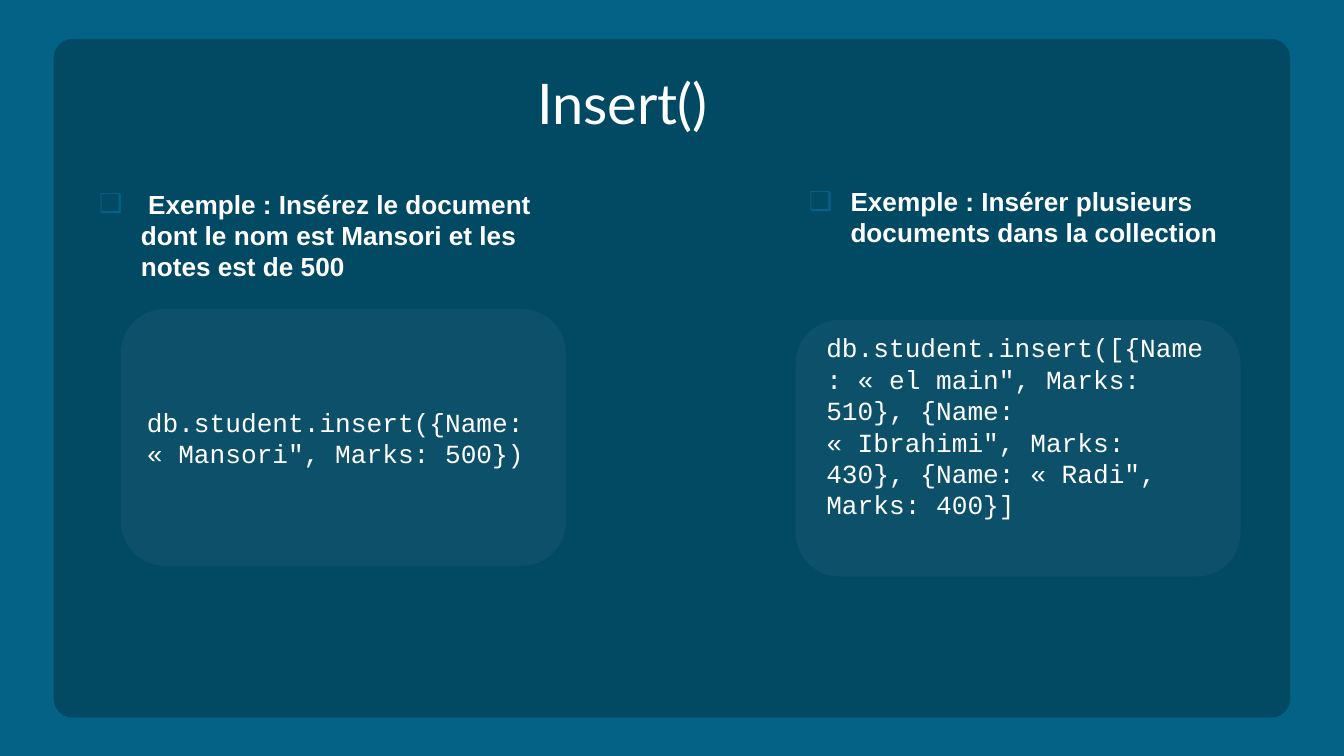
from dataclasses import dataclass

from lxml import etree
from pptx import Presentation
from pptx import util as u
from pptx.dml.color import RGBColor
from pptx.enum import shapes, text
from pptx.oxml import ns


@dataclass(frozen=True)
class Theme:
    """Colours, fonts and type sizes of the slide."""
    background: str = "036286"
    panel: str = "000000"
    panel_alpha: int = 25
    card: str = "0D506A"
    ink: str = "FFFFFF"
    title_font: str = "Lato"
    body_font: str = "Arial"
    code_font: str = "Courier New"
    title_size: int = 30
    body_size: int = 14


THEME = Theme()
NO_BREAK_SPACE = chr(160)


def add_box(slide, box, fill, radius=0.17):
    """Add a rounded rectangle without outline or shadow."""
    sp = slide.shapes.add_shape(
        shapes.MSO_SHAPE.ROUNDED_RECTANGLE, *map(u.Inches, box))
    sp.adjustments[0] = radius
    sp.shadow.inherit = False
    sp.fill.solid()
    sp.fill.fore_color.rgb = RGBColor.from_string(fill)
    sp.line.fill.background()
    return sp


def write(sp, content, font, size, bold=False, anchor=text.MSO_ANCHOR.TOP):
    """Write one left-aligned paragraph, keeping guillemets with their word."""
    tf = sp.text_frame
    tf.word_wrap = True
    tf.vertical_anchor = anchor
    p = tf.paragraphs[0]
    p.text = content.replace("« ", "«" + NO_BREAK_SPACE)
    p.alignment = text.PP_ALIGN.LEFT
    p.font.name, p.font.size, p.font.bold = font, u.Pt(size), bold
    p.font.color.rgb = RGBColor.from_string(THEME.ink)
    return p


def add_bullet(p, char, color, indent):
    """Give a paragraph a coloured bullet and a hanging indent."""
    pPr = p._p.get_or_add_pPr()
    pPr.set("marL", str(u.Inches(indent)))
    pPr.set("indent", str(-u.Inches(indent)))
    buClr = etree.Element(ns.qn("a:buClr"))
    etree.SubElement(buClr, ns.qn("a:srgbClr"), val=color)
    buFont = etree.Element(ns.qn("a:buFont"), typeface=THEME.body_font)
    buChar = etree.Element(ns.qn("a:buChar"), char=char)
    for i, element in enumerate((buClr, buFont, buChar)):
        pPr.insert(i, element)


def add_panel(slide, box):
    """Add the translucent panel behind the content."""
    sp = add_box(slide, box, THEME.panel, 0.028)
    color = sp.fill._xPr.find(ns.qn("a:solidFill"))[0]
    etree.SubElement(color, ns.qn("a:alpha"), val=str(THEME.panel_alpha * 1000))


def add_title(slide, box, content):
    """Add the slide title."""
    sp = slide.shapes.add_textbox(*map(u.Inches, box))
    tf = sp.text_frame
    tf.margin_top = tf.margin_bottom = u.Inches(0.1)
    write(sp, content, THEME.title_font, THEME.title_size)


def add_heading(slide, box, content):
    """Add a bulleted example heading."""
    sp = slide.shapes.add_textbox(*map(u.Inches, box))
    p = write(sp, content, THEME.body_font, THEME.body_size, bold=True)
    add_bullet(p, "❑", THEME.background, 0.31)


def add_code_card(slide, box, code, inner=None):
    """Add a card with code centred in it, or in a text box offset inside it."""
    sp = add_box(slide, box, THEME.card)
    anchor = text.MSO_ANCHOR.MIDDLE
    if inner:
        left, top, width, height = inner
        sp = slide.shapes.add_textbox(*map(
            u.Inches, (box[0] + left, box[1] + top, width, height)))
        anchor = text.MSO_ANCHOR.TOP
    write(sp, code, THEME.code_font, THEME.body_size, anchor=anchor)


def main():
    """Build the slide and save it."""
    prs = Presentation()
    prs.slide_width = u.Inches(10)
    prs.slide_height = prs.slide_width * 9 // 16
    s = prs.slides.add_slide(prs.slide_layouts[6])
    s.background.fill.solid()
    s.background.fill.fore_color.rgb = RGBColor.from_string(THEME.background)

    add_panel(s, (0.4, 0.29, 9.2, 5.05))
    add_title(s, (3.9, 0.41, 8.43, 0.63), "Insert()")

    add_heading(
        s, (0.64, 1.35, 3.44, 0.81),
        " Exemple : Insérez le document dont le nom est Mansori "
        "et les notes est de 500")
    add_code_card(
        s, (0.9, 2.3, 3.31, 1.91),
        'db.student.insert({Name: « Mansori", Marks: 500})')

    add_heading(
        s, (5.92, 1.33, 3.31, 0.57),
        "Exemple : Insérer plusieurs documents dans la collection")
    add_code_card(
        s, (5.92, 2.38, 3.31, 1.91),
        'db.student.insert([{Name: « el main", Marks: 510}, '
        '{Name: « Ibrahimi", Marks: 430}, {Name: « Radi", Marks: 400}]',
        inner=(0.13, 0.04, 3.06, 1.51))

    prs.save("out.pptx")


if __name__ == "__main__":
    main()
